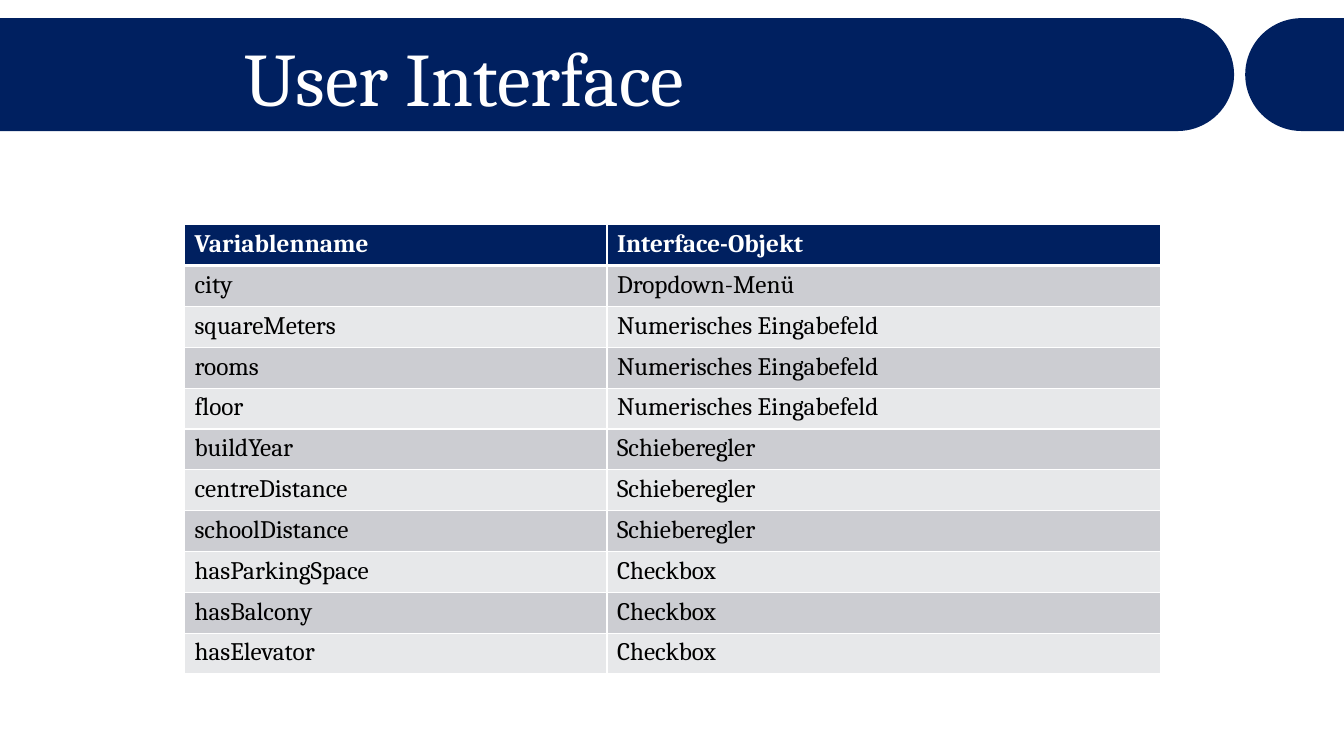
from dataclasses import dataclass
from math import cos, pi, sin

from lxml.etree import SubElement
from pptx import Presentation
from pptx.dml.color import RGBColor
from pptx.enum.text import MSO_ANCHOR, MSO_AUTO_SIZE, PP_ALIGN
from pptx.oxml.ns import qn
from pptx.shapes.shapetree import SlideShapes
from pptx.table import _Cell
from pptx.util import Inches, Pt

FONT = "Cambria"
HEX = {"navy": "002060", "white": "FFFFFF", "black": "000000",
       "dark": "CCCDD2", "light": "E7E8EA"}
TOP, BASE, WIDE = 0.18, 1.3, 13.33


@dataclass
class Bar:
    flat: float
    mid: float
    side: int


@dataclass
class Entry:
    name: str
    widget: str


def color(key: str) -> RGBColor:
    """Look up a named colour."""
    return RGBColor.from_string(HEX[key])


def draw(shapes: SlideShapes, bar: Bar) -> None:
    """Draw a navy bar with a flat end and a half-round end."""
    rad, steps = (BASE - TOP) / 2, 40
    turns = [pi * i / steps for i in range(steps + 1)]
    curve = [(bar.mid + bar.side * rad * sin(t), TOP + rad - rad * cos(t))
             for t in turns]
    ring = [(Inches(x), Inches(y)) for x, y in [*curve, (bar.flat, BASE)]]
    pen = shapes.build_freeform(Inches(bar.flat), Inches(TOP))
    pen.add_line_segments(ring, close=True)
    shape = pen.convert_to_shape()
    shape.shadow.inherit = False
    shape.fill.solid()
    shape.fill.fore_color.rgb = color("navy")
    shape.line.fill.background()


def edge(cell: _Cell, tag: str, size: float) -> None:
    """Add one white border to a cell."""
    line = SubElement(cell._tc.get_or_add_tcPr(), qn(f"a:{tag}"), w=str(Pt(size)))
    fill = SubElement(line, qn("a:solidFill"))
    SubElement(fill, qn("a:srgbClr"), val=HEX["white"])


def style(cell: _Cell, text: str, row: int) -> None:
    """Fill in and format one table cell."""
    head = row == 0
    edges = {"lnL": 1, "lnR": 1, "lnT": 3 if row == 1 else 1, "lnB": 3 if head else 1}
    for tag, size in edges.items():
        edge(cell, tag, size)
    cell.fill.solid()
    cell.fill.fore_color.rgb = color("navy" if head else "dark" if row % 2 else "light")
    cell.text = text
    font = cell.text_frame.paragraphs[0].font
    font.name, font.size, font.bold = FONT, Pt(18), head
    font.color.rgb = color("white" if head else "black")


def grid(shapes: SlideShapes, items: list[Entry]) -> None:
    """Draw the table of entries."""
    frame = shapes.add_table(len(items), 2, Inches(1.83), Inches(2.23),
                             Inches(9.68), Inches(4.46))
    table = frame.table
    for col, width in zip(table.columns, (4.19, 5.49)):
        col.width = Inches(width)
    for row, item in enumerate(items):
        for col, text in enumerate((item.name, item.widget)):
            style(table.cell(row, col), text, row)


def title(shapes: SlideShapes, text: str) -> None:
    """Place the title above the banner."""
    box = shapes.title
    shapes._spTree.append(box._element)
    box.left, box.top = Inches(2.32), Inches(0.46)
    box.width, box.height = Inches(10.69), Inches(0.71)
    frame = box.text_frame
    frame.text = text
    frame.word_wrap = True
    frame.auto_size = MSO_AUTO_SIZE.NONE
    frame.vertical_anchor = MSO_ANCHOR.MIDDLE
    para = frame.paragraphs[0]
    para.alignment = PP_ALIGN.LEFT
    para.line_spacing, para.space_before = 0.9, Pt(10)
    para.font.name, para.font.size = FONT, Pt(54)
    para.font.color.rgb = color("white")


BARS = [Bar(0, 11.68, 1), Bar(WIDE, 12.91, -1)]
ITEMS = [
    Entry("Variablenname", "Interface-Objekt"),
    Entry("city", "Dropdown-Menü"),
    Entry("squareMeters", "Numerisches Eingabefeld"),
    Entry("rooms", "Numerisches Eingabefeld"),
    Entry("floor", "Numerisches Eingabefeld"),
    Entry("buildYear", "Schieberegler"),
    Entry("centreDistance", "Schieberegler"),
    Entry("schoolDistance", "Schieberegler"),
    Entry("hasParkingSpace", "Checkbox"),
    Entry("hasBalcony", "Checkbox"),
    Entry("hasElevator", "Checkbox"),
]


def main() -> None:
    """Build and save the slide."""
    deck = Presentation()
    deck.slide_width, deck.slide_height = Inches(WIDE), Inches(7.5)
    shapes = deck.slides.add_slide(deck.slide_layouts[5]).shapes
    for bar in BARS:
        draw(shapes, bar)
    title(shapes, "User Interface")
    grid(shapes, ITEMS)
    deck.save("out.pptx")


if __name__ == "__main__":
    main()
